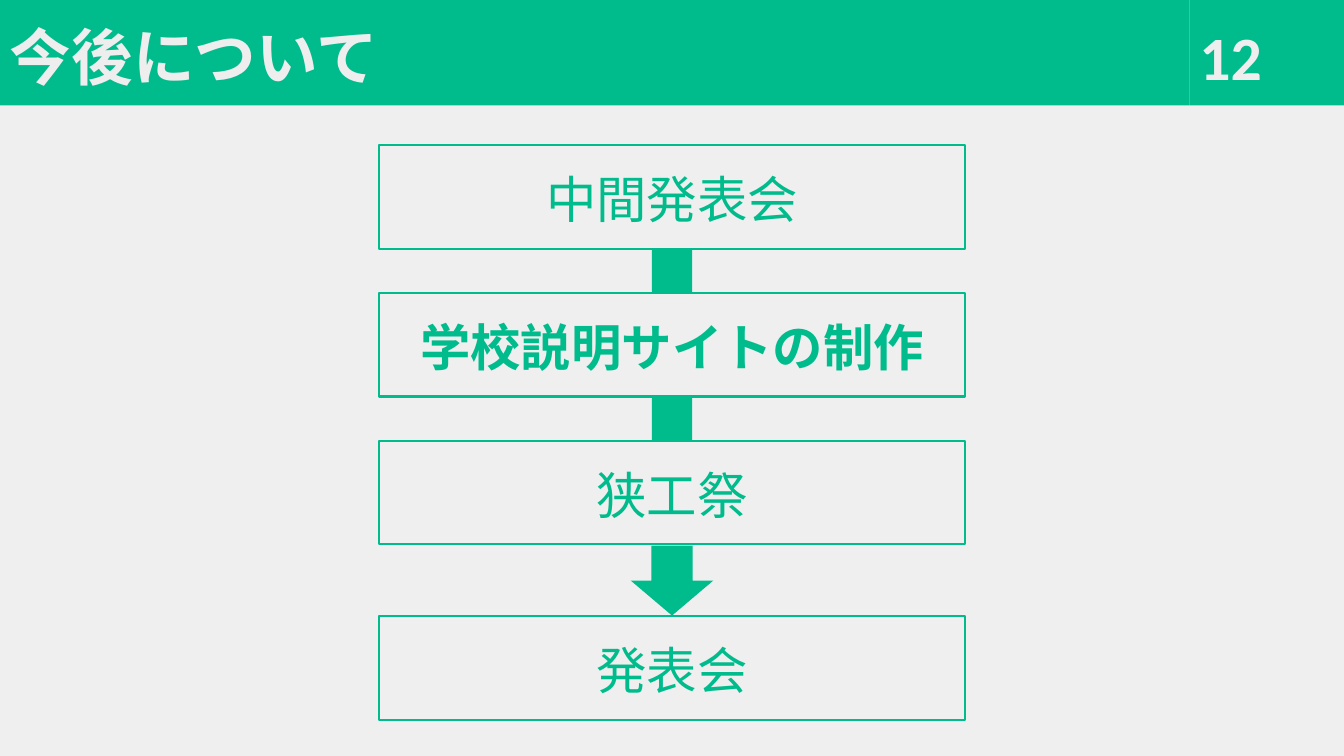
import pptx
import pptx.util
import pptx.dml.color
import pptx.enum.shapes
import pptx.enum.text

Pt = pptx.util.Pt
KIND = pptx.enum.shapes.MSO_SHAPE
ALIGN = pptx.enum.text.PP_ALIGN
HUES = {"green": "00BC8C", "pale": "EEEEEE", "back": "EFEFEF"}


def hue(name):
    return pptx.dml.color.RGBColor.from_string(HUES[name])


def block(kind, left, top, width, height, filled=True, text="", size=44, bold=True):
    """Add a filled green block, or an outlined box with centred green text."""
    shape = slide.shapes.add_shape(kind, Pt(left), Pt(top), Pt(width), Pt(height))
    shape.shadow.inherit = False
    if filled:
        shape.fill.solid()
        shape.fill.fore_color.rgb = hue("green")
        shape.line.fill.background()
    else:
        shape.fill.background()
        shape.line.color.rgb = hue("green")
        shape.line.width = Pt(1.5)
    if text:
        frame = shape.text_frame
        frame.text = text
        frame.word_wrap = True
        frame.vertical_anchor = pptx.enum.text.MSO_ANCHOR.MIDDLE
        frame.margin_left = frame.margin_right = Pt(7.2)
        frame.margin_top = Pt(14.4 if filled else 11.5)
        frame.margin_bottom = Pt(3.6)
        para = frame.paragraphs[0]
        para.alignment = ALIGN.LEFT if filled else ALIGN.CENTER
        para.line_spacing = 0.9
        font = para.runs[0].font
        font.name = "Calibri"
        font.size = Pt(size)
        font.bold = bold
        font.color.rgb = hue("pale" if filled else "green")
    return shape


deck = pptx.Presentation()
deck.slide_width, deck.slide_height = Pt(960), Pt(540)
slide = deck.slides.add_slide(deck.slide_layouts[6])
slide.background.fill.solid()
slide.background.fill.fore_color.rgb = hue("back")

# Header: title and page number
split = 849.6
block(KIND.RECTANGLE, split, 0, 960 - split, 75.4, text="12")
block(KIND.RECTANGLE, 0, 0, split, 75.4, text="今後について")

# Links between the steps
first, pitch, tall = 103.6, 105.6, 74
for i in range(2):
    block(KIND.RECTANGLE, 465.6, first + i * pitch + tall, 28.8, pitch - tall)
arrow = block(KIND.RIGHT_ARROW, 455, 385.2, 50, 59)
arrow.rotation = 90

# Steps; the last one sits lower to leave room for the arrow
steps = ["中間発表会", "学校説明サイトの制作", "狭工祭", "発表会"]
for i, step in enumerate(steps):
    top = 440 if i == 3 else first + i * pitch
    block(KIND.RECTANGLE, 270.5, top, 419, tall, False, step, 36, i == 1)

deck.save("out.pptx")
